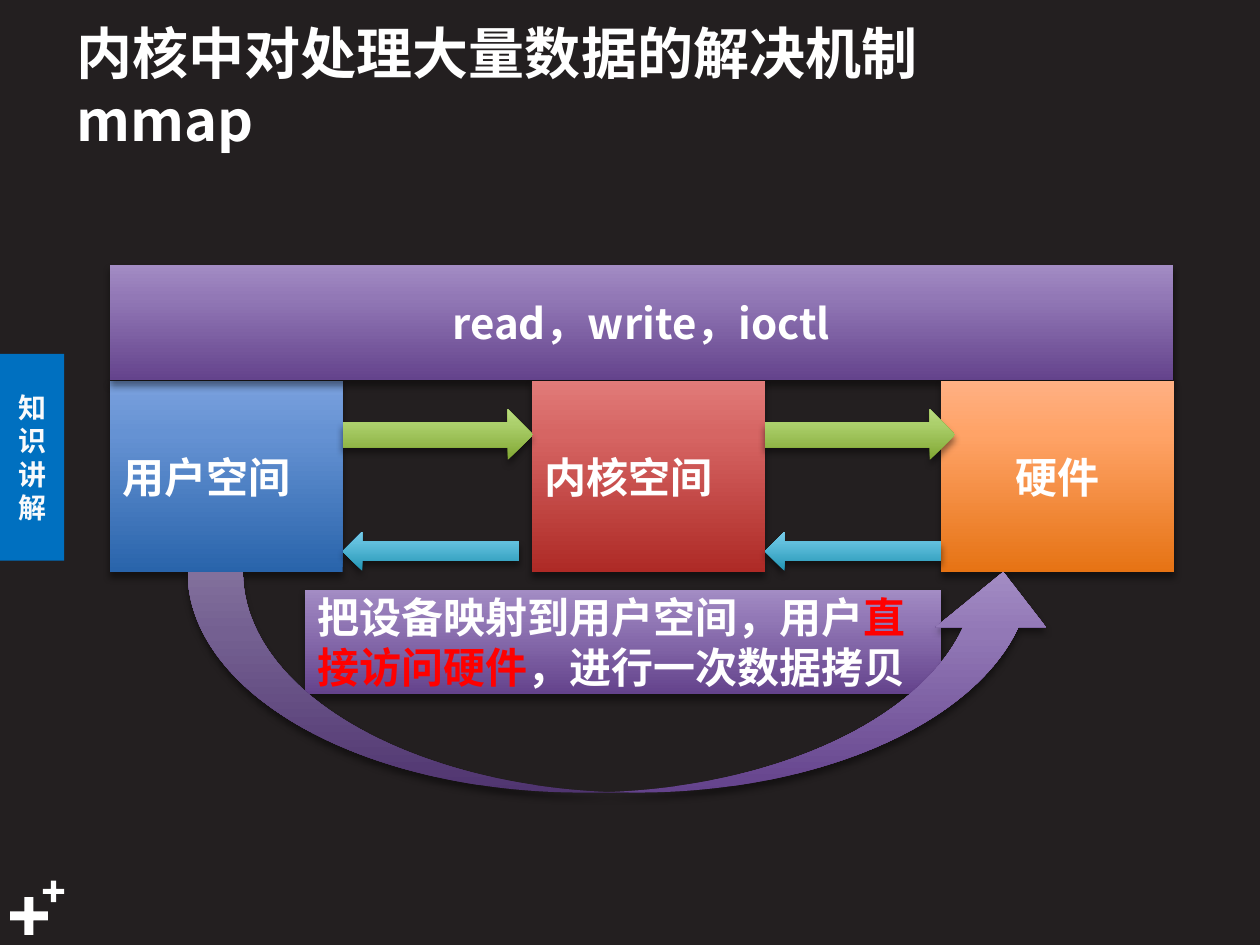
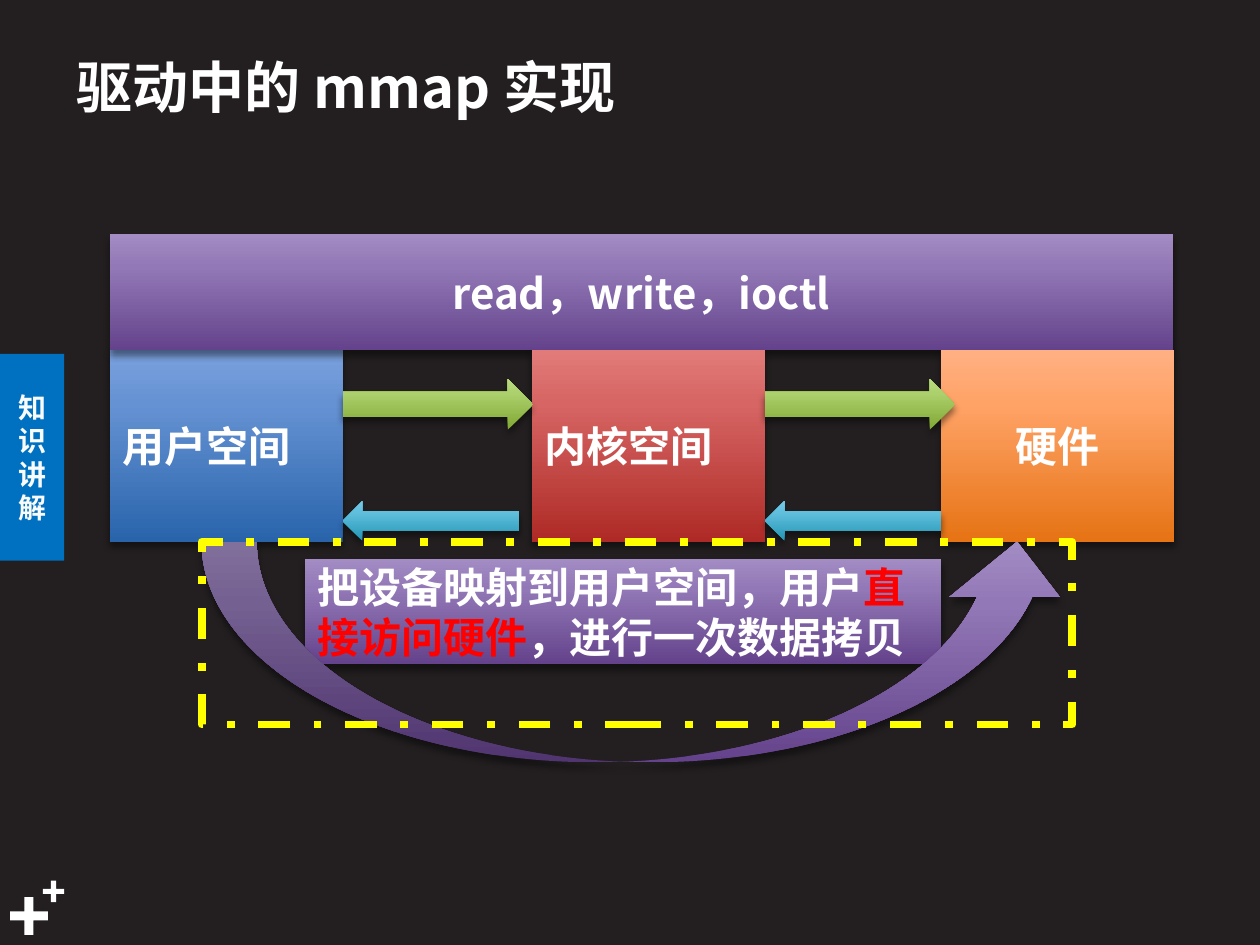
"""Build two slides on how mmap moves large data between user space and hardware."""
from dataclasses import dataclass

from lxml.etree import SubElement
from pptx import Presentation
from pptx.dml.color import RGBColor
from pptx.enum.dml import MSO_LINE
from pptx.enum.shapes import MSO_SHAPE as Preset
from pptx.enum.text import MSO_ANCHOR as Anchor, MSO_AUTO_SIZE as AutoSize, PP_ALIGN as Align
from pptx.oxml.ns import qn
from pptx.util import Inches, Pt

FONT = "Noto Sans CJK SC"
BACKGROUND, WHITE, RED, YELLOW = "231F20", "FFFFFF", "FF0000", "FFFF00"
TAB_BLUE, TAB_TEXT = "0070C0", "F9FAFB"

BLUE = ("2964AB", "6592D3", "7BA1DE")
PURPLE = ("64438C", "9278B6", "A38CC4")
BRICK = ("AE2A26", "D66563", "E17B79")
ORANGE = ("E67314", "FFA367", "FFB083")
GREEN = ("81A733", "ACD06C", "B9DB80")
CYAN = ("2396B5", "61BFDD", "77CAE7")
STOPS = (0, 72, 100)

BAND_HEIGHT, BLOCK_WIDTH, BLOCK_HEIGHT = 0.92, 1.85, 1.52
USER_LEFT, KERNEL_LEFT, HARDWARE_LEFT = 0.87, 4.22, 7.47
DIAGRAM_HEIGHT = BAND_HEIGHT + BLOCK_HEIGHT
CURVE_WIDTH = 6.91


@dataclass(frozen=True)
class Part:
    """A shaded part of the diagram, its top measured from the diagram's top."""
    preset: Preset
    left: float
    top: float
    width: float
    height: float
    shades: tuple[str, ...]
    runs: tuple[tuple[str, str], ...] = ()
    align: Align = Align.LEFT


@dataclass(frozen=True)
class Page:
    """What differs between the slides."""
    title: str
    diagram_top: float
    curve_left: float
    framed: bool = False


def block(left: float, label: str, shades: tuple[str, ...], align: Align = Align.LEFT) -> Part:
    """Describe one of the three blocks under the band."""
    return Part(Preset.RECTANGLE, left, BAND_HEIGHT, BLOCK_WIDTH, BLOCK_HEIGHT,
                shades, ((label, WHITE),), align)


def transfers(preset: Preset, top: float, width: float, height: float,
              shades: tuple[str, ...]) -> list[Part]:
    """Describe the equal arrows that start at the right side of two blocks."""
    return [Part(preset, left + BLOCK_WIDTH, top, width, height, shades)
            for left in (USER_LEFT, KERNEL_LEFT)]


DIAGRAM = [
    block(USER_LEFT, "用户空间", BLUE),
    Part(Preset.RECTANGLE, USER_LEFT, 0, 8.44, BAND_HEIGHT, PURPLE,
         (("read，write，ioctl", WHITE),), Align.CENTER),
    block(KERNEL_LEFT, "内核空间", BRICK),
    block(HARDWARE_LEFT, "硬件", ORANGE, Align.CENTER),
    *transfers(Preset.RIGHT_ARROW, 1.15, 1.51, 0.4, GREEN),
    *transfers(Preset.LEFT_ARROW, 2.12, 1.4, 0.31, CYAN),
    Part(Preset.RECTANGLE, 2.42, 2.58, 5.05, 0.83, PURPLE,
         (("把设备映射到用户空间，用户", WHITE), ("直接访问硬件", RED),
          ("，进行一次数据拷贝", WHITE))),
]

PAGES = [
    Page("内核中对处理大量数据的解决机制 mmap", 2.1, 1.49),
    Page("驱动中的 mmap 实现", 1.86, 1.6, framed=True),
]


def rgb(value: str) -> RGBColor:
    """Turn a hex string into a colour."""
    return RGBColor.from_string(value)


def write_text(shape, runs, *, size: float = 24, align: Align = Align.LEFT) -> None:
    """Write bold coloured runs into a shape, centred vertically."""
    frame = shape.text_frame
    frame.word_wrap = True
    frame.auto_size = AutoSize.NONE
    frame.vertical_anchor = Anchor.MIDDLE
    paragraph = frame.paragraphs[0]
    paragraph.alignment = align
    for text, color in runs:
        run = paragraph.add_run()
        run.text = text
        run.font.name, run.font.size, run.font.bold = FONT, Pt(size), True
        run.font.color.rgb = rgb(color)
        SubElement(run.font._element, qn("a:ea"), typeface=FONT)


def add_preset(slide, preset: Preset, left: float, top: float, width: float, height: float,
               fill: str | None = None):
    """Add a preset shape without line or shadow."""
    shape = slide.shapes.add_shape(preset, Inches(left), Inches(top),
                                   Inches(width), Inches(height))
    shape.shadow.inherit = False
    shape.line.fill.background()
    if fill:
        shape.fill.solid()
        shape.fill.fore_color.rgb = rgb(fill)
    else:
        shape.fill.background()
    return shape


def shade(shape, shades: tuple[str, ...]) -> None:
    """Give a shape an upward gradient and a soft shadow below."""
    shape.fill.gradient()
    shape.fill.gradient_angle = 90
    properties = shape._element.spPr
    stop_list = properties.find(f".//{qn('a:gsLst')}")
    stop_list.clear()
    for position, color in zip(STOPS, shades):
        stop = SubElement(stop_list, qn("a:gs"), pos=str(position * 1000))
        SubElement(stop, qn("a:srgbClr"), val=color)
    shadow = SubElement(properties.find(qn("a:effectLst")), qn("a:outerShdw"),
                        blurRad=str(Pt(4)), dist=str(Pt(3)), dir="5400000", rotWithShape="0")
    tint = SubElement(shadow, qn("a:srgbClr"), val="000000")
    SubElement(tint, qn("a:alpha"), val="43000")


def draw_part(slide, part: Part, diagram_top: float) -> None:
    """Draw one diagram part with its text."""
    shape = add_preset(slide, part.preset, part.left, diagram_top + part.top,
                       part.width, part.height)
    shade(shape, part.shades)
    if part.runs:
        write_text(shape, part.runs, align=part.align)


def draw_margin(slide) -> None:
    """Draw the plus signs and the section tab at the left edge."""
    for left, top, side in ((0.08, 7.12, 0.3), (0.34, 6.99, 0.17)):
        plus = add_preset(slide, Preset.CROSS, left, top, side, side, WHITE)
        plus.adjustments[0] = 0.38
    tab = add_preset(slide, Preset.RECTANGLE, 0, 2.81, 0.51, 1.64, TAB_BLUE)
    write_text(tab, (("知识讲解", TAB_TEXT),), size=16, align=Align.CENTER)


def draw_page(deck, page: Page) -> None:
    """Add a slide with its title, margin and diagram."""
    slide = deck.slides.add_slide(deck.slide_layouts.get_by_name("Title Only"))
    draw_margin(slide)
    title = slide.shapes.title
    title.left, title.top = Inches(0.51), Inches(0.29)
    title.width, title.height = Inches(7.4), Inches(0.78)
    write_text(title, ((page.title, WHITE),), size=32)

    curve = Part(Preset.CURVED_UP_ARROW, page.curve_left, DIAGRAM_HEIGHT,
                 CURVE_WIDTH, 1.75, PURPLE)
    for part in (*DIAGRAM, curve):
        draw_part(slide, part, page.diagram_top)
    if page.framed:
        frame = add_preset(slide, Preset.RECTANGLE, page.curve_left,
                           page.diagram_top + DIAGRAM_HEIGHT, CURVE_WIDTH, 1.45)
        frame.line.color.rgb = rgb(YELLOW)
        frame.line.width = Pt(4.5)
        frame.line.dash_style = MSO_LINE.DASH_DOT


def main() -> None:
    """Build and save the deck."""
    deck = Presentation()
    deck.slide_width, deck.slide_height = Inches(10), Inches(7.5)
    backdrop = deck.slide_master.background.fill
    backdrop.solid()
    backdrop.fore_color.rgb = rgb(BACKGROUND)
    for page in PAGES:
        draw_page(deck, page)
    deck.save("out.pptx")


if __name__ == "__main__":
    main()
